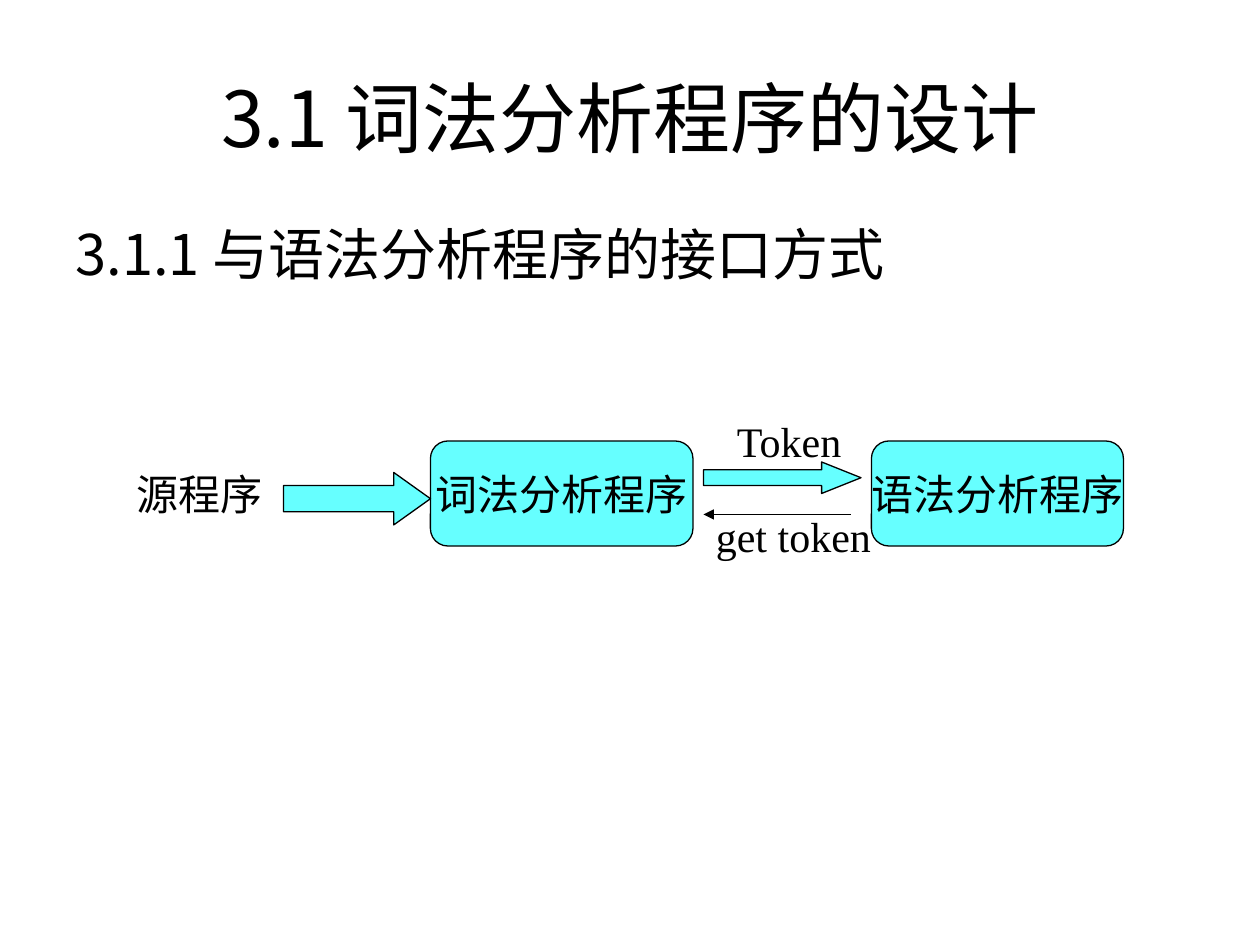
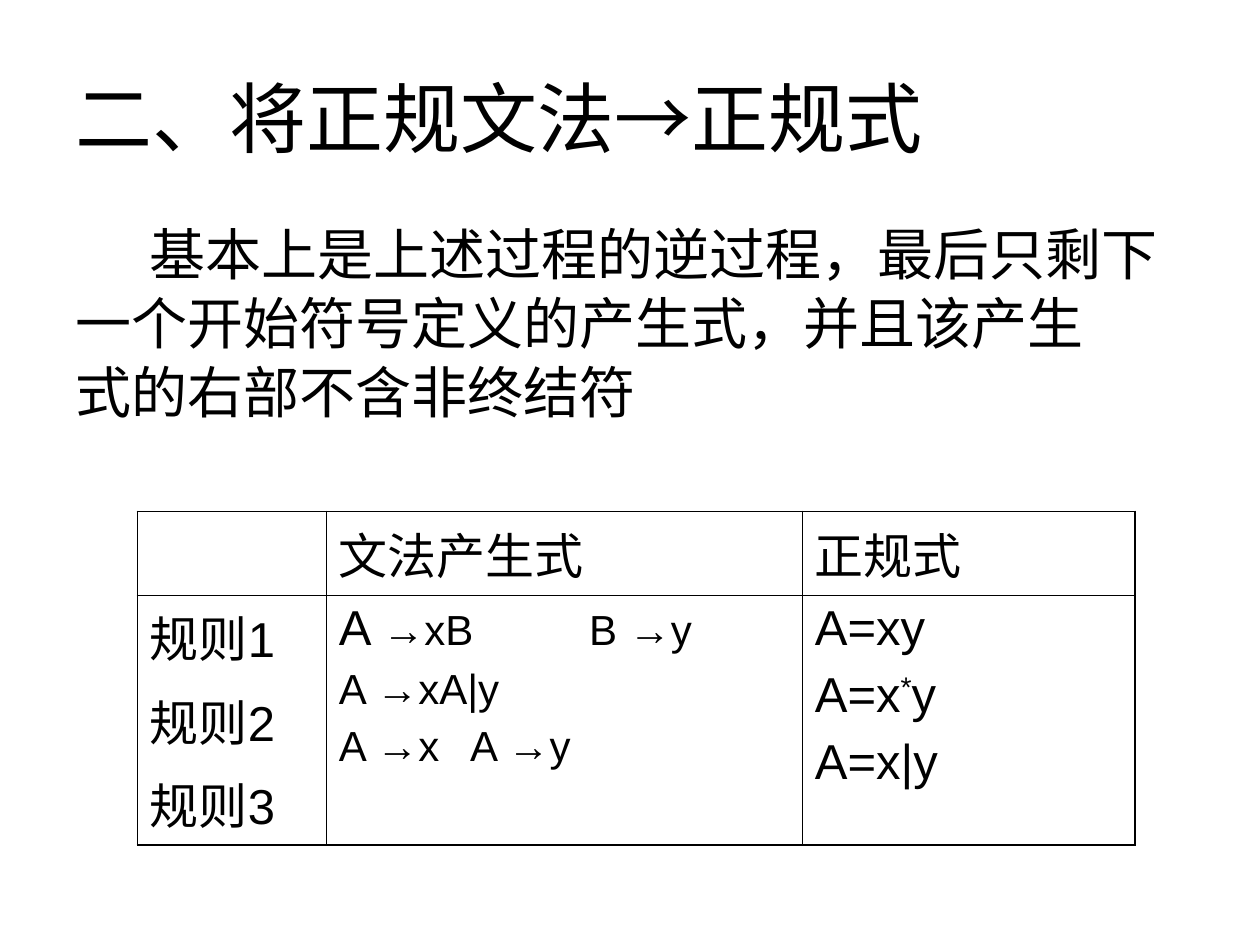
from dataclasses import dataclass

from lxml.etree import SubElement
from pptx import Presentation
from pptx.dml.color import RGBColor
from pptx.enum.shapes import MSO_CONNECTOR, MSO_SHAPE
from pptx.enum.text import MSO_ANCHOR, MSO_AUTO_SIZE, PP_ALIGN
from pptx.oxml import parse_xml
from pptx.oxml.ns import nsdecls, qn
from pptx.util import Pt


@dataclass(frozen=True)
class Theme:
    ink: RGBColor = RGBColor(0, 0, 0)
    paper: RGBColor = RGBColor(255, 255, 255)
    cyan: RGBColor = RGBColor(0x66, 0xFF, 0xFF)
    chinese: str = "Noto Sans CJK SC"
    sans: str = "Arial"
    serif: str = "Times New Roman"
    title: int = 44
    body: int = 32
    cell: int = 28
    label: int = 24
    hairline: float = 0.75
    outer: float = 1.08
    inner: float = 0.45


theme = Theme()


def style_text(frame, size, latin, before=0, align=PP_ALIGN.LEFT):
    for index, para in enumerate(frame.paragraphs):
        para.alignment = align
        para.space_before = Pt(before if index else 0)
        for span in para.runs:
            span.font.size = Pt(size)
            span.font.color.rgb = theme.ink
            span.font.name = latin
            SubElement(span.font._element, qn("a:ea"), typeface=theme.chinese)


def add_page(deck, title, title_align, body, latin, first_indent):
    page = deck.slides.add_slide(deck.slide_layouts[1])
    heading, content = page.placeholders
    for box, top, height, text in ((heading, 21.6, 90, title), (content, 126, 356.4, body)):
        box.left, box.top, box.width, box.height = Pt(36), Pt(top), Pt(648), Pt(height)
        box.text_frame.text = text
        box.text_frame.word_wrap = True
        box.text_frame.auto_size = MSO_AUTO_SIZE.NONE
    heading.text_frame.vertical_anchor = MSO_ANCHOR.MIDDLE
    style_text(heading.text_frame, theme.title, latin, align=title_align)
    style_text(content.text_frame, theme.body, latin, before=5)
    for index, para in enumerate(content.text_frame.paragraphs):
        para.line_spacing = 0.9
        properties = para._p.get_or_add_pPr()
        properties.set("marL", "0")
        properties.set("indent", str(Pt(0 if index else first_indent)))
        SubElement(properties, qn("a:buNone"))
    return page


deck = Presentation()
deck.slide_width, deck.slide_height = Pt(720), Pt(540)

page = add_page(deck, "3.1 词法分析程序的设计", PP_ALIGN.CENTER,
                "3.1.1 与语法分析程序的接口方式", theme.chinese, 0)

stages = (
    ("源程序", 72, 84, theme.paper, theme.paper),
    ("词法分析程序", 246, 150, theme.cyan, theme.ink),
    ("语法分析程序", 498, 144, theme.cyan, theme.ink),
)
for name, left, width, fill, line in stages:
    stage = page.shapes.add_shape(MSO_SHAPE.ROUNDED_RECTANGLE, Pt(left), Pt(252), Pt(width), Pt(60))
    stage.shadow.inherit = False
    stage.fill.solid()
    stage.fill.fore_color.rgb = fill
    stage.line.color.rgb = line
    stage.line.width = Pt(theme.hairline)
    stage.text_frame.text = name
    stage.text_frame.word_wrap = False
    stage.text_frame.vertical_anchor = MSO_ANCHOR.MIDDLE
    style_text(stage.text_frame, theme.label, theme.serif, align=PP_ALIGN.CENTER)

for left, top, width, height, head_length in ((162, 270, 84, 30, 0.7), (402, 264, 90, 18, 1.25)):
    arrow = page.shapes.add_shape(MSO_SHAPE.RIGHT_ARROW, Pt(left), Pt(top), Pt(width), Pt(height))
    arrow.adjustments[0], arrow.adjustments[1] = 0.5, head_length
    arrow.shadow.inherit = False
    arrow.fill.solid()
    arrow.fill.fore_color.rgb = theme.cyan
    arrow.line.color.rgb = theme.ink
    arrow.line.width = Pt(theme.hairline)

request = page.shapes.add_connector(MSO_CONNECTOR.STRAIGHT, Pt(486), Pt(294), Pt(402), Pt(294))
request.line.color.rgb = theme.ink
request.line.width = Pt(theme.hairline)
SubElement(request.line._get_or_add_ln(), qn("a:tailEnd"), type="triangle")
SubElement(request._element.spPr, qn("a:effectLst"))

for text, left, top, width in (("Token", 414, 234, 75.6), ("get token", 402, 288, 103)):
    label = page.shapes.add_textbox(Pt(left), Pt(top), Pt(width), Pt(36))
    label.text_frame.text = text
    label.text_frame.word_wrap = False
    label.text_frame.auto_size = MSO_AUTO_SIZE.SHAPE_TO_FIT_TEXT
    style_text(label.text_frame, theme.label, theme.serif)

page = add_page(deck, "二、将正规文法→正规式", PP_ALIGN.LEFT,
                "基本上是上述过程的逆过程，最后只剩下\n一个开始符号定义的产生式，并且该产生\n式的右部不含非终结符",
                theme.sans, 42)

rules = (
    ("", "文法产生式", "正规式"),
    ("规则1\n规则2\n规则3", "A \nA →xA|y\nA →x\tA →y", "A=xy\nA=x\nA=x|y"),
)
widths, heights = (108, 272, 190), (47.7, 142.8)
table = page.shapes.add_table(2, 3, Pt(78.5), Pt(292.3), Pt(sum(widths)), Pt(sum(heights))).table
table.first_row = table.horz_banding = False
for column, width in zip(table.columns, widths):
    column.width = Pt(width)
for row, height in zip(table.rows, heights):
    row.height = Pt(height)

for row_index, texts in enumerate(rules):
    for column_index, text in enumerate(texts):
        cell = table.cell(row_index, column_index)
        cell.text_frame.text = text
        cell.fill.background()
        edges = {"L": column_index == 0, "R": column_index == 2,
                 "T": row_index == 0, "B": row_index == 1}
        for position, (side, is_outer) in enumerate(edges.items()):
            weight = Pt(theme.outer if is_outer else theme.inner)
            cell._tc.get_or_add_tcPr().insert(position, parse_xml(
                f'<a:ln{side} {nsdecls("a")} w="{weight}"><a:solidFill>'
                f'<a:srgbClr val="{theme.ink}"/></a:solidFill></a:ln{side}>'))

productions = table.cell(1, 1).text_frame
expressions = table.cell(1, 2).text_frame
for para, pieces in ((productions.paragraphs[0], ("→xB\tB →y",)),
                     (expressions.paragraphs[1], ("*", "y"))):
    for piece in pieces:
        para.add_run().text = piece

for cell in table.iter_cells():
    style_text(cell.text_frame, theme.cell, theme.sans, before=7)
style_text(productions, theme.label, theme.sans, before=6)
productions.paragraphs[0].runs[0].font.size = Pt(theme.cell)
expressions.paragraphs[1].runs[1].font._element.set("baseline", "30000")
for index, stop in ((0, 143), (2, 75)):
    tabs = SubElement(productions.paragraphs[index]._p.get_or_add_pPr(), qn("a:tabLst"))
    SubElement(tabs, qn("a:tab"), pos=str(Pt(stop)), algn="l")
for span in (span for para in productions.paragraphs for span in para.runs):
    for repeated in span.font._element.findall(qn("a:ea"))[1:]:
        span.font._element.remove(repeated)

deck.save("out.pptx")
